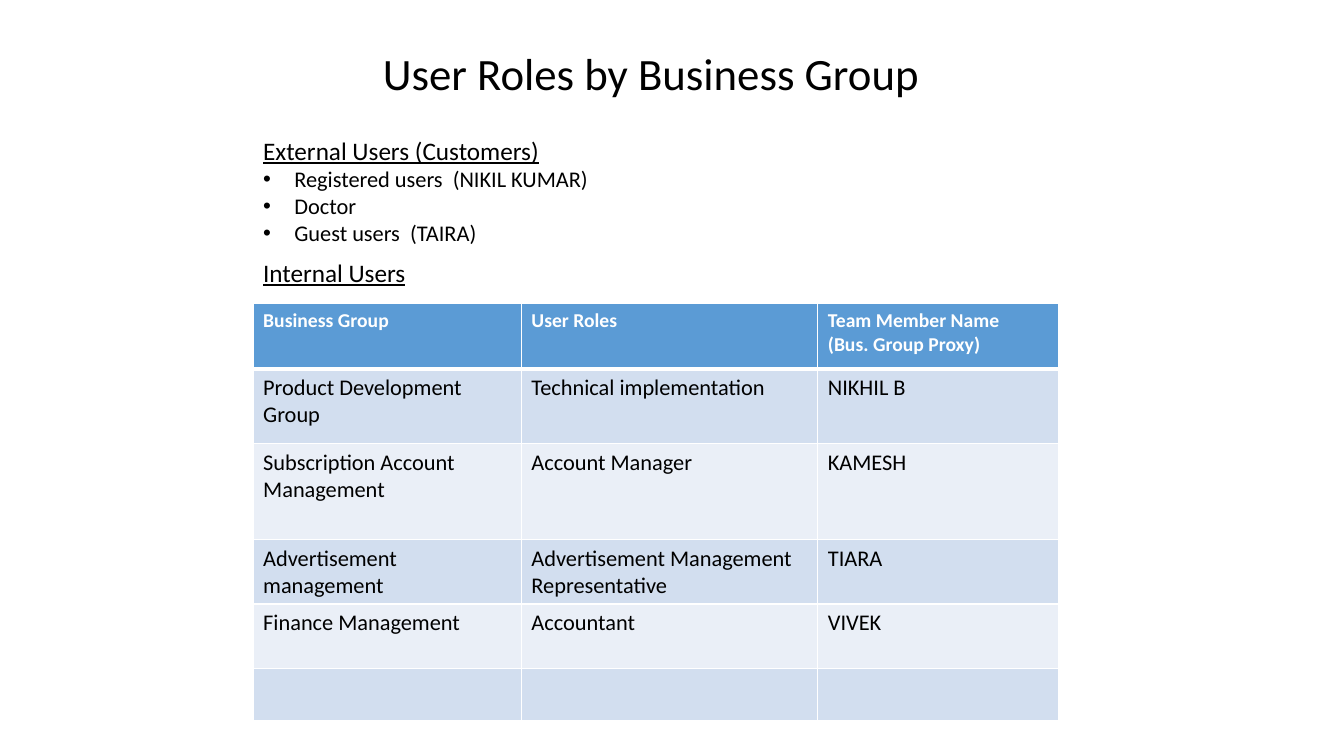
from lxml import etree
from pptx import Presentation
from pptx.dml.color import RGBColor
from pptx.oxml import ns
from pptx.util import Cm, Pt

# Content
TITLE = "User Roles by Business Group"
EXTERNAL_HEADING = "External Users (Customers)"
EXTERNAL_USERS = ["Registered users  (NIKIL KUMAR)", "Doctor", "Guest users\u00a0 (TAIRA)"]
INTERNAL_HEADING = "Internal Users"
ROLES = [
    ("Business Group", "User Roles", "Team Member Name\n(Bus. Group Proxy)"),
    ("Product Development Group", "Technical implementation", "NIKHIL B"),
    ("Subscription Account Management", "Account Manager", "KAMESH"),
    ("Advertisement  management", "Advertisement Management Representative", "TIARA"),
    ("Finance Management", "Accountant", "VIVEK"),
    ("", "", ""),
]

# Layout in centimetres
LEFT = 6.38
COLUMN_WIDTHS = [6.76, 7.47, 6.07]
ROW_HEIGHTS = [1.65, 1.88, 2.42, 1.62, 1.62, 1.32]
INDENT = 0.79

# Colours
BLACK, WHITE = "000000", "FFFFFF"
HEADER_FILL = "5B9BD5"
BAND_FILLS = ["EAEFF7", "D2DEEF"]


def colour(hex_string):
    return RGBColor.from_string(hex_string)


def format_runs(paragraph, size, hex_string=BLACK, bold=False, underline=False):
    for run in paragraph.runs:
        run.font.name = "Calibri"
        run.font.size = Pt(size)
        run.font.bold = bold
        run.font.underline = underline
        run.font.color.rgb = colour(hex_string)


def add_text(slide, left, top, width, height, lines):
    box = slide.shapes.add_textbox(Cm(left), Cm(top), Cm(width), Cm(height))
    box.text_frame.word_wrap = False
    box.text_frame.text = "\n".join(lines)
    return box.text_frame.paragraphs


def add_bullet(paragraph):
    properties = paragraph._p.get_or_add_pPr()
    properties.set("marL", str(Cm(INDENT)))
    properties.set("indent", str(-Cm(INDENT)))
    etree.SubElement(properties, ns.qn("a:buFont"), typeface="Arial")
    etree.SubElement(properties, ns.qn("a:buChar"), char="•")


def add_borders(cell, top, bottom):
    properties = cell._tc.get_or_add_tcPr()
    for side, points in (("L", 1), ("R", 1), ("T", top), ("B", bottom)):
        line = etree.SubElement(properties, ns.qn(f"a:ln{side}"), w=str(Pt(points)))
        fill = etree.SubElement(line, ns.qn("a:solidFill"))
        etree.SubElement(fill, ns.qn("a:srgbClr"), val=WHITE)


def add_roles_table(slide):
    table = slide.shapes.add_table(
        len(ROLES), len(COLUMN_WIDTHS), Cm(LEFT), Cm(7.65),
        Cm(sum(COLUMN_WIDTHS)), Cm(sum(ROW_HEIGHTS))).table
    for column, width in zip(table.columns, COLUMN_WIDTHS):
        column.width = Cm(width)
    for row_index, (row, height, texts) in enumerate(zip(table.rows, ROW_HEIGHTS, ROLES)):
        row.height = Cm(height)
        header = row_index == 0
        for cell, words in zip(row.cells, texts):
            add_borders(cell, 3 if row_index == 1 else 1, 3 if header else 1)
            cell.fill.solid()
            cell.fill.fore_color.rgb = colour(HEADER_FILL if header else BAND_FILLS[row_index % 2])
            cell.text_frame.text = words
            for paragraph in cell.text_frame.paragraphs:
                format_runs(paragraph, 14 if header else 16, WHITE if header else BLACK, bold=header)


def main():
    presentation = Presentation()
    presentation.slide_width, presentation.slide_height = Cm(33.87), Cm(19.05)
    slide = presentation.slides.add_slide(presentation.slide_layouts[6])

    # Title
    format_runs(add_text(slide, 9.4, 1.04, 14.15, 1.62, [TITLE])[0], 32)

    # Internal users
    add_roles_table(slide)
    internal = add_text(slide, LEFT, 6.35, 4.14, 1.02, [INTERNAL_HEADING])
    format_runs(internal[0], 18, underline=True)

    # External users
    heading, *users = add_text(slide, LEFT, 3.28, 8.81, 3.07, [EXTERNAL_HEADING, *EXTERNAL_USERS])
    format_runs(heading, 18, underline=True)
    for user in users:
        add_bullet(user)
        format_runs(user, 16)

    presentation.save("out.pptx")


if __name__ == "__main__":
    main()
